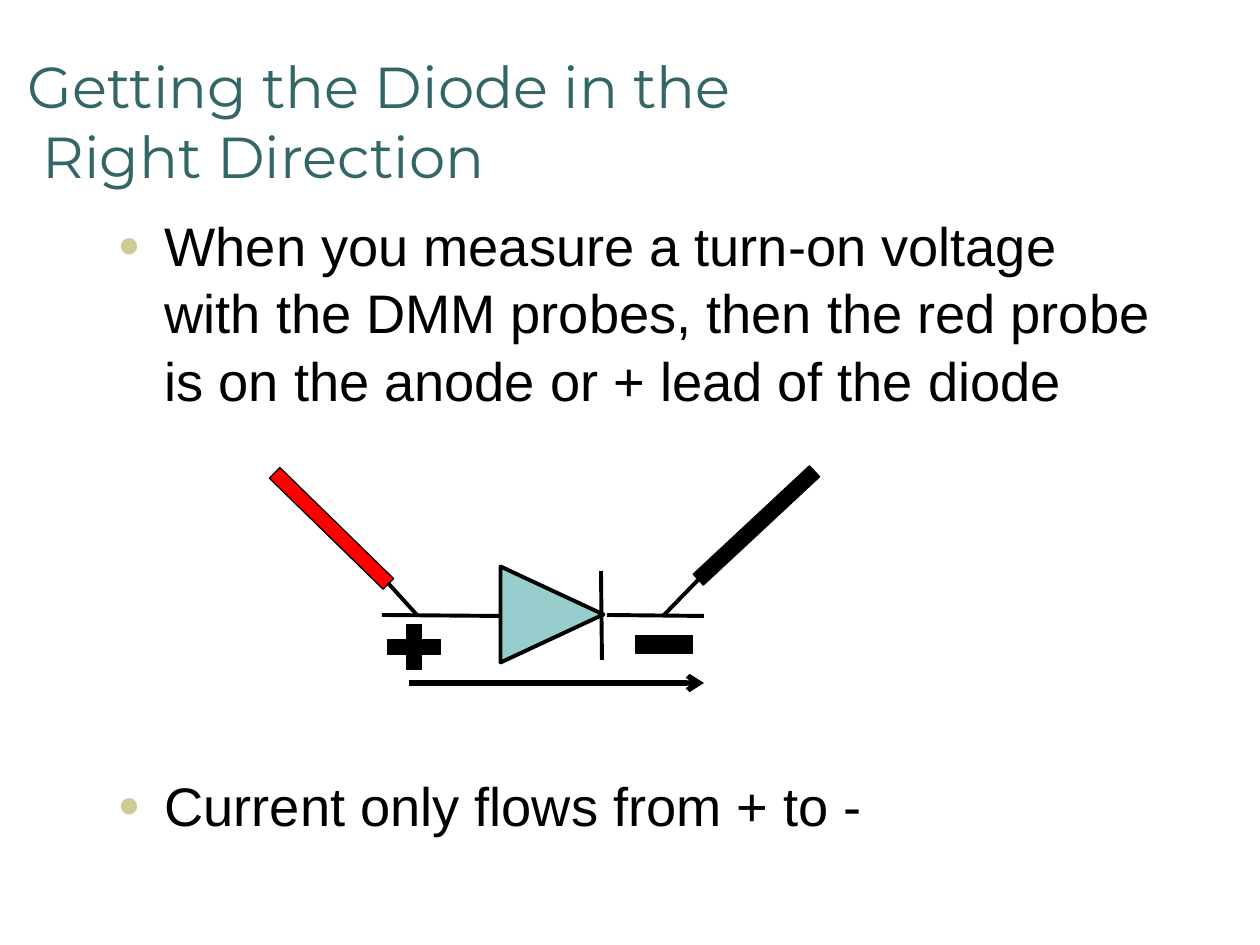
from pptx import Presentation
from pptx import util as u
from pptx.dml.color import RGBColor
from pptx.enum import shapes, text
from pptx.oxml.ns import qn
from lxml import etree

SCALE = 914400 / 126  # EMU in one px
HUES = {"title": "336666", "text": "000000", "dot": "CCCC99",
        "diode": "97CDCC", "red": "FF0000", "black": "000000"}
KIND = shapes.MSO_SHAPE


def px(n):
    return u.Emu(round(n * SCALE))


def add(parent, tag, **attrs):
    return etree.SubElement(parent, qn(tag), attrs)


class Page:
    """Holds the style and the current slide."""

    def __init__(self, deck):
        self.slide = deck.slides.add_slide(deck.slide_layouts[1])

    def hue(self, name):
        return RGBColor.from_string(HUES[name])

    def fill_text(self, holder, box, lines, font, size, hue, anchor):
        """Move a placeholder and write its paragraphs, which are returned."""
        holder.left, holder.top, holder.width, holder.height = map(px, box)
        frame = holder.text_frame
        frame.text = "\n".join(lines)
        frame.word_wrap = True
        frame.auto_size = text.MSO_AUTO_SIZE.NONE
        frame.vertical_anchor = anchor
        for para in frame.paragraphs:
            para.alignment = text.PP_ALIGN.LEFT
            for run in para.runs:
                run.font.name, run.font.size = font, u.Pt(size)
                run.font.color.rgb = self.hue(hue)
        return frame.paragraphs

    def title(self, box, lines, step):
        """Write the title, each line indented one step more."""
        paras = self.fill_text(self.slide.shapes.title, box, lines, "Montserrat",
                               33, "title", text.MSO_ANCHOR.BOTTOM)
        for i, para in enumerate(paras, 1):
            para.space_before = u.Pt(0)
            props = para._p.get_or_add_pPr()
            props.set("marL", str(px(i * step)))
            props.set("indent", "0")

    def bullets(self, box, lines, gap):
        """Write the list with a gap in points between its items."""
        paras = self.fill_text(self.slide.placeholders[1], box, lines, "Arial",
                               31, "text", text.MSO_ANCHOR.TOP)
        for i, para in enumerate(paras):
            para.space_before = u.Pt(gap if i else 0)
            para.line_spacing = 1.04
            props = para._p.get_or_add_pPr()
            props.set("marL", str(px(47)))
            props.set("indent", str(px(-47)))
            add(add(props, "a:buClr"), "a:srgbClr", val=HUES["dot"])
            add(props, "a:buSzPct", val="70000")
            add(props, "a:buFont", typeface="Arial")
            add(props, "a:buChar", char="●")

    def shape(self, kind, box, hue, width=0.75, turn=0):
        item = self.slide.shapes.add_shape(kind, *map(px, box))
        item.shadow.inherit = False
        item.rotation = turn
        item.fill.solid()
        item.fill.fore_color.rgb = self.hue(hue)
        item.line.color.rgb = self.hue("black")
        item.line.width = u.Pt(width)

    def line(self, ends, width=2.25, arrow=False):
        item = self.slide.shapes.add_connector(
            shapes.MSO_CONNECTOR.STRAIGHT, *map(px, ends))
        item.line.color.rgb = self.hue("black")
        item.line.width = u.Pt(width)
        if arrow:
            add(item.line._get_or_add_ln(), "a:tailEnd", type="arrow")
        add(item._element.spPr, "a:effectLst")


def main():
    deck = Presentation()
    deck.slide_width, deck.slide_height = px(1260), px(945)
    page = Page(deck)
    page.title((0, 49, 1260, 147),
               ["Getting the Diode in the", "Right Direction"], 15)
    page.bullets((105, 203, 1061, 616),
                 ["When you measure a turn-on voltage with the DMM probes, "
                  "then the red probe is on the anode or + lead of the diode",
                  "Current only flows from + to -"], 204)

    # Diode: body, bar and leads
    page.shape(KIND.ISOSCELES_TRIANGLE, (504, 563, 96, 103), "diode", 2.25, 90)
    for ends in ((601, 571, 602, 660), (607, 615, 704, 616),
                 (500, 616, 382, 615)):
        page.line(ends)

    # Probes and their tips
    page.shape(KIND.RECTANGLE, (252, 521, 159, 15), "red", turn=44.3)
    page.shape(KIND.RECTANGLE, (677, 518, 159, 15), "black", turn=317)
    for ends in ((388, 583, 417, 615), (698, 580, 663, 616)):
        page.line(ends)

    # Polarity and current
    page.shape(KIND.MATH_PLUS, (378, 616, 72, 62), "black")
    page.shape(KIND.MATH_MINUS, (626, 607, 77, 75), "black")
    page.line((409, 683, 704, 683), 3, arrow=True)
    deck.save("out.pptx")


if __name__ == "__main__":
    main()
